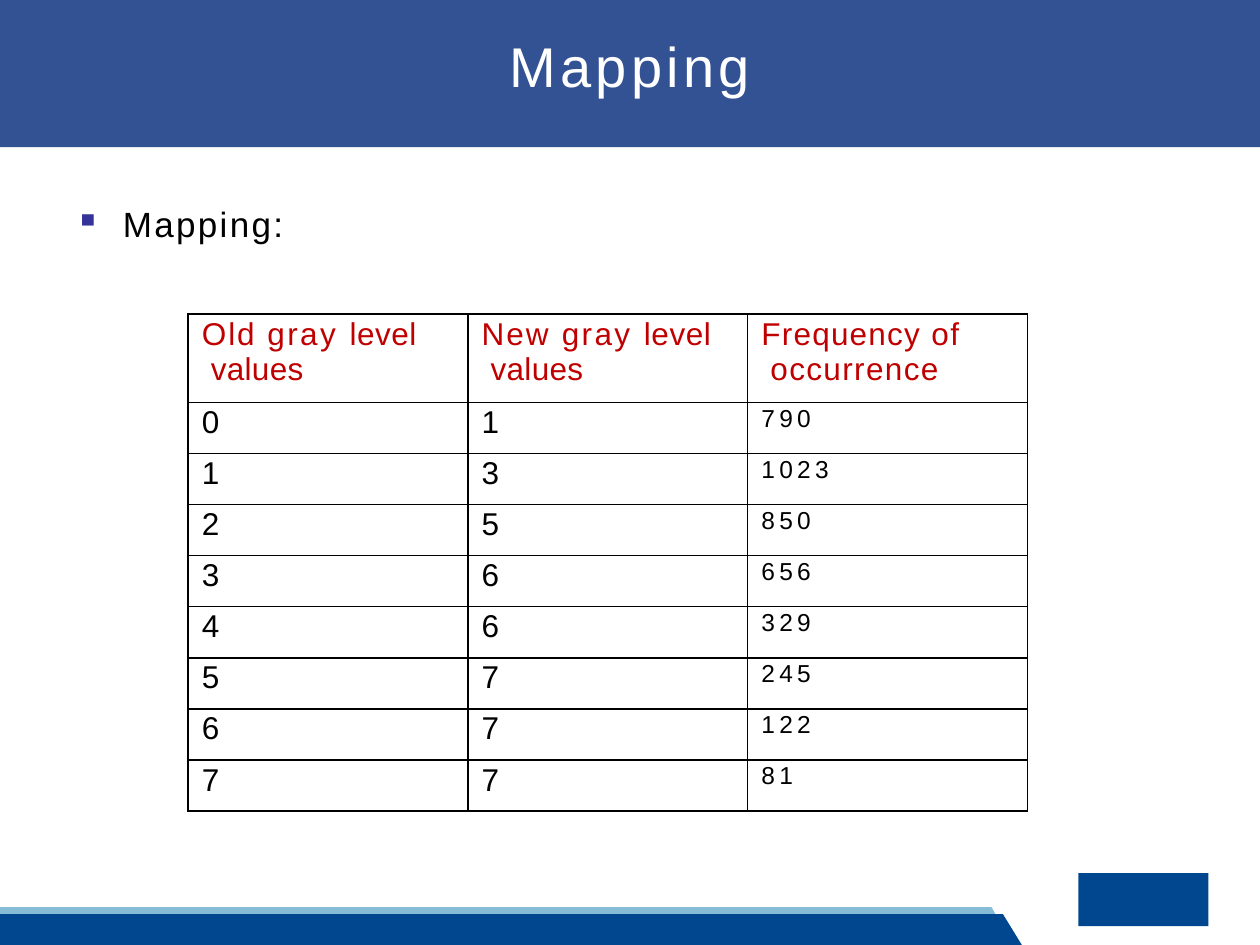
from lxml.etree import SubElement
from pptx import Presentation
from pptx.dml.color import RGBColor
from pptx.enum.shapes import MSO_SHAPE
from pptx.enum.text import MSO_ANCHOR, MSO_AUTO_SIZE, PP_ALIGN
from pptx.oxml import parse_xml
from pptx.oxml.ns import nsdecls, qn
from pptx.util import Cm, Pt

WHITE = RGBColor(0xFF, 0xFF, 0xFF)
BLACK = RGBColor(0, 0, 0)
RED = RGBColor(0xC0, 0, 0)
HEADER_BLUE = RGBColor(0x33, 0x52, 0x94)
LIGHT_BLUE = RGBColor(0x86, 0xBC, 0xD5)
DARK_BLUE = RGBColor(0, 0x47, 0x90)

HEADINGS = [
    [("Old ", 1.1), ("gray ", 1.4), ("level\v", 0.3), ("values", 0.2)],
    [("New ", 1.2), ("gray ", 1.4), ("level\v", 0.3), ("values", 0.2)],
    [("Frequency ", 0.7), ("of\voccurrence", 0.8)],
]
NEW_LEVELS = [1, 3, 5, 6, 6, 7, 7, 7]
FREQUENCIES = [790, 1023, 850, 656, 329, 245, 122, 81]


def paint(shape, color):
    """Give a shape a plain fill without line or shadow."""
    shape.shadow.inherit = False
    shape.fill.solid()
    shape.fill.fore_color.rgb = color
    shape.line.fill.background()


def add_block(page, left, top, width, height, color):
    """Add a plain rectangle."""
    block = page.shapes.add_shape(
        MSO_SHAPE.RECTANGLE, Cm(left), Cm(top), Cm(width), Cm(height))
    paint(block, color)


def add_slanted_band(page, top, bottom, top_width, bottom_width, color):
    """Add a footer band whose right end slants outwards."""
    builder = page.shapes.build_freeform(0, Cm(top))
    builder.add_line_segments([
        (Cm(top_width), Cm(top)), (Cm(bottom_width), Cm(bottom)), (0, Cm(bottom))])
    paint(builder.convert_to_shape(), color)


def write(para, spans, size, color, before=1.1):
    """Write letter-spaced spans into a paragraph."""
    para.space_before = Pt(before)
    para.font.name = "Arial"
    para.font.size = Pt(size)
    para.font.color.rgb = color
    for text, spacing in spans:
        for index, piece in enumerate(text.split("\v")):
            if index:
                para.add_line_break()
            if piece:
                span = para.add_run()
                span.text = piece
                span.font._element.set("spc", str(round(spacing * 100)))


def set_indent(para, left, first):
    """Set the left margin and first-line indent of a paragraph."""
    properties = para._p.get_or_add_pPr()
    properties.set("marL", str(Cm(left)))
    properties.set("indent", str(Cm(first)))
    return properties


def clear_margins(frame):
    """Remove the inner margins of a text frame and anchor it at the top."""
    frame.margin_left = frame.margin_right = frame.margin_bottom = 0
    frame.margin_top = Cm(0.03)
    frame.vertical_anchor = MSO_ANCHOR.TOP


def set_title(page):
    """Place and format the title."""
    title = page.shapes.title
    title.left, title.top, title.width, title.height = Cm(10.2), Cm(0.6), Cm(5), Cm(1.43)
    frame = title.text_frame
    clear_margins(frame)
    frame.word_wrap = False
    frame.auto_size = MSO_AUTO_SIZE.NONE
    para = frame.paragraphs[0]
    para.alignment = PP_ALIGN.CENTER
    write(para, [("Mapping", 2.4)], 32, WHITE)


def add_bullet(page):
    """Add the bulleted line above the table."""
    box = page.shapes.add_textbox(Cm(1.5), Cm(4.06), Cm(4.4), Cm(0.9))
    frame = box.text_frame
    clear_margins(frame)
    frame.word_wrap = True
    para = frame.paragraphs[0]
    write(para, [("Mapping:", 1.3)], 20, BLACK)
    properties = set_indent(para, 0.98, -0.97)
    bullet_color = parse_xml(
        f'<a:buClr {nsdecls("a")}><a:srgbClr val="333399"/></a:buClr>')
    bullet = parse_xml(f'<a:buChar {nsdecls("a")} char="▪"/>')
    properties.find(qn("a:spcBef")).addnext(bullet_color)
    bullet_color.addnext(bullet)


def format_cell(cell):
    """Give a cell no fill, tight margins and thin black borders."""
    cell.fill.background()
    cell.margin_left = Cm(0.28)
    cell.margin_right = cell.margin_bottom = 0
    cell.margin_top = Cm(0.05)
    properties = cell._tc.get_or_add_tcPr()
    for index, side in enumerate(("lnL", "lnR", "lnT", "lnB")):
        border = parse_xml(f'<a:{side} {nsdecls("a")} w="{Pt(1)}"/>')
        fill = SubElement(border, qn("a:solidFill"))
        SubElement(fill, qn("a:srgbClr"), val=str(BLACK))
        properties.insert(index, border)


def add_mapping_table(page):
    """Add the table of gray levels and frequencies."""
    frame = page.shapes.add_table(
        len(NEW_LEVELS) + 1, 3, Cm(3.79), Cm(6.33), Cm(16.92), Cm(10.02))
    table = frame.table
    table.first_row = table.horz_banding = False
    for column in table.columns:
        column.width = Cm(5.64)
    for index, row in enumerate(table.rows):
        row.height = Cm(1.03 if index else 1.78)
    for cell in table.iter_cells():
        format_cell(cell)
    for column, spans in enumerate(HEADINGS):
        para = table.cell(0, column).text_frame.paragraphs[0]
        write(para, spans, 18, RED)
        set_indent(para, 0.18, -0.18)
    for old, (new, frequency) in enumerate(zip(NEW_LEVELS, FREQUENCIES)):
        styles = [(old, 0, 18, 1.1), (new, 0, 18, 1.1), (frequency, 2.4, 14, 1.6)]
        for column, (value, spacing, size, before) in enumerate(styles):
            para = table.cell(old + 1, column).text_frame.paragraphs[0]
            write(para, [(str(value), spacing)], size, BLACK, before)


def main():
    """Build the slide and save the deck."""
    deck = Presentation()
    deck.slide_width, deck.slide_height = Cm(25.4), Cm(19.05)
    page = deck.slides.add_slide(deck.slide_layouts[5])
    add_block(page, 0, 0, 25.4, 2.97, HEADER_BLUE)
    add_slanted_band(page, 18.29, 18.95, 19.99, 20.37, LIGHT_BLUE)
    add_slanted_band(page, 18.43, 19.05, 20.22, 20.6, DARK_BLUE)
    add_block(page, 21.74, 17.6, 2.62, 1.07, DARK_BLUE)
    title = page.shapes.title._element
    title.getparent().append(title)
    set_title(page)
    add_bullet(page)
    add_mapping_table(page)
    deck.save("out.pptx")


main()
